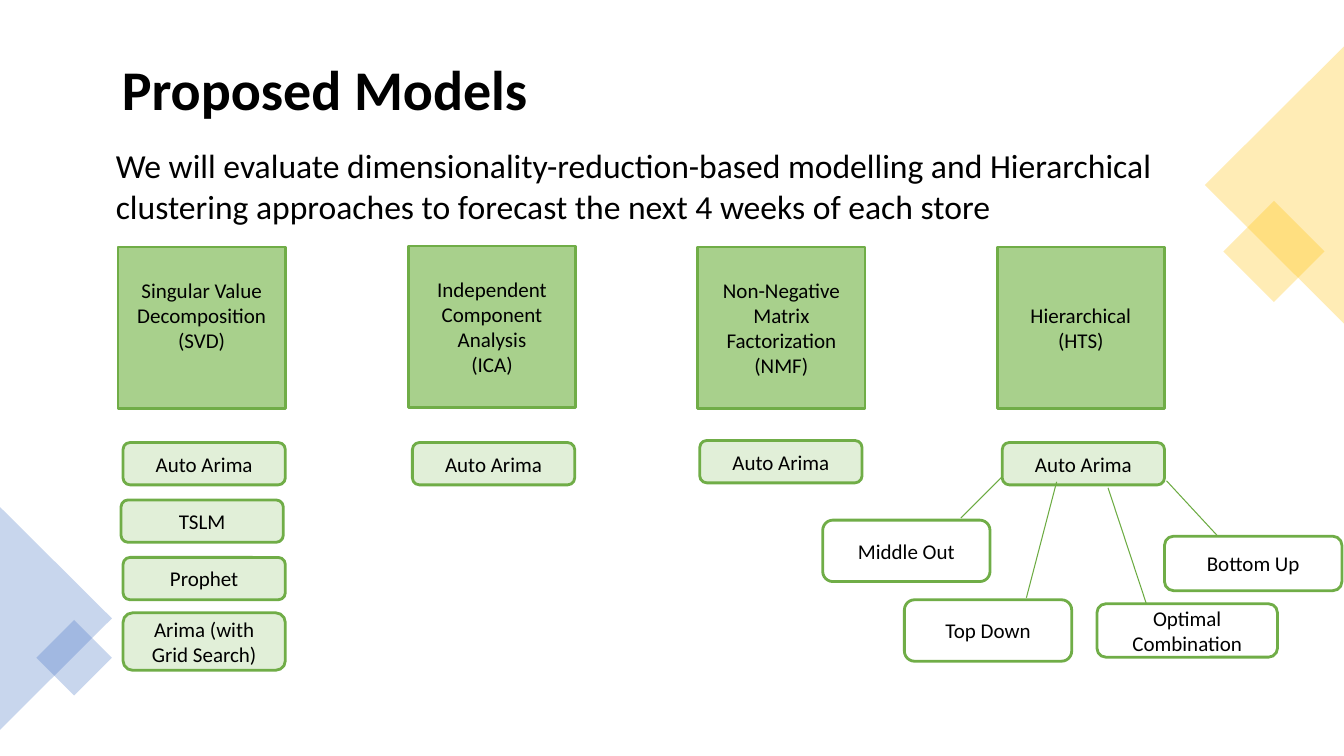
import dataclasses

import lxml.etree
import pptx
import pptx.dml.color
import pptx.enum.shapes
import pptx.enum.text
import pptx.oxml.ns
import pptx.util

Inches = pptx.util.Inches
SHAPE = pptx.enum.shapes.MSO_SHAPE
ALIGN = pptx.enum.text.PP_ALIGN
ANCHOR = pptx.enum.text.MSO_ANCHOR


@dataclasses.dataclass(frozen=True)
class Theme:
    """Colours, font and type sizes of the slide."""
    font: str = "Calibri"
    ink: str = "000000"
    card: str = "A8D08C"
    method: str = "E1EFD8"
    variant: str = "FFFFFF"
    outline: str = "70AD47"
    branch: str = "6CAB42"
    gold: str = "FFC000"
    blue: str = "4472C4"
    title_size: int = 40
    intro_size: int = 24
    label_size: int = 15
    outline_width: float = 2
    branch_width: float = 0.75
    decor_opacity: int = 29


THEME = Theme()


def rgb(code):
    """Turn a hex code into a colour."""
    return pptx.dml.color.RGBColor.from_string(code)


def write_text(frame, text, size=THEME.label_size, bold=False, align=ALIGN.CENTER,
               anchor=ANCHOR.MIDDLE, spacing=None, bottom=0.05):
    """Write one paragraph per line of text into a frame."""
    frame.word_wrap = True
    frame.vertical_anchor = anchor
    frame.margin_left = frame.margin_right = Inches(0.1)
    frame.margin_top, frame.margin_bottom = Inches(0.05), Inches(bottom)
    frame.text = text
    for paragraph in frame.paragraphs:
        paragraph.alignment = align
        paragraph.line_spacing = spacing
        font = paragraph.runs[0].font
        font.name, font.size, font.bold = THEME.font, pptx.util.Pt(size), bold
        font.color.rgb = rgb(THEME.ink)


def add_block(slide, kind, box, fill):
    """Add a filled shape without outline or shadow."""
    block = slide.shapes.add_shape(kind, *map(Inches, box))
    block.shadow.inherit = False
    block.fill.solid()
    block.fill.fore_color.rgb = rgb(fill)
    block.line.fill.background()
    return block


def add_label(slide, kind, box, fill, text, **text_format):
    """Add an outlined shape with a centred label."""
    label = add_block(slide, kind, box, fill)
    label.line.color.rgb = rgb(THEME.outline)
    label.line.width = pptx.util.Pt(THEME.outline_width)
    write_text(label.text_frame, text, **text_format)


def add_branch(slide, start, end):
    """Draw a thin line between two points."""
    branch = slide.shapes.add_connector(
        pptx.enum.shapes.MSO_CONNECTOR.STRAIGHT, *map(Inches, (*start, *end)))
    branch.line.color.rgb = rgb(THEME.branch)
    branch.line.width = pptx.util.Pt(THEME.branch_width)
    lxml.etree.SubElement(branch._element.spPr, pptx.oxml.ns.qn("a:effectLst"))


def add_decor(slide, box, color, turn, diamond_offset, diamond_side):
    """Place a translucent edge triangle and its small diamond."""
    left, top, width, height = box
    dx, dy = diamond_offset
    diamond = (left + dx, top + dy, diamond_side, diamond_side)
    for kind, place, rotation in ((SHAPE.ISOSCELES_TRIANGLE, box, turn),
                                  (SHAPE.RECTANGLE, diamond, 45)):
        piece = add_block(slide, kind, place, color)
        piece.rotation = rotation
        solid = piece._element.spPr.find(pptx.oxml.ns.qn("a:solidFill"))
        lxml.etree.SubElement(solid[0], pptx.oxml.ns.qn("a:alpha"),
                              val=str(THEME.decor_opacity * 1000))


def add_heading(slide, box):
    """Place the title and the introduction under it."""
    left, top, width, height = box
    title = slide.shapes.add_textbox(
        *map(Inches, (left + 0.06, top, width, 1.24)))
    write_text(title.text_frame, "Proposed Models", size=THEME.title_size, bold=True,
               align=ALIGN.LEFT, spacing=0.9)
    intro = slide.shapes.add_textbox(
        *map(Inches, (left, top + 1.09, 10.9, height - 1.09)))
    write_text(intro.text_frame,
               "We will evaluate dimensionality-reduction-based modelling and Hierarchical "
               "clustering approaches to forecast the next 4 weeks of each store",
               size=THEME.intro_size, align=ALIGN.LEFT, anchor=ANCHOR.TOP)


def add_model(slide, box, name, methods, bottom=0.05):
    """Place a model card and the methods listed below it."""
    left, top, width, height = box
    add_label(slide, SHAPE.RECTANGLE, box, THEME.card, name, bottom=bottom)
    for method, dx, dy, method_height in methods:
        add_label(slide, SHAPE.ROUNDED_RECTANGLE,
                  (left + dx, top + dy, 1.61, method_height), THEME.method, method)


def add_variants(slide, box):
    """Place the hierarchical variants and the branches leading to them."""
    left, top, width, height = box
    variants = (
        ("Middle Out", (0, 0, 1.66, 0.61), (1.78, -0.43), (1.37, -0.02)),
        ("Top Down", (0.81, 0.79, 1.66, 0.61), (2.32, -0.38), (2.02, 0.77)),
        ("Optimal Combination", (2.72, 0.83, 1.79, 0.53), (2.83, -0.32), (3.21, 0.83)),
        ("Bottom Up", (3.39, 0.16, 1.76, 0.54), (3.41, -0.39), (3.91, 0.15)),
    )
    for name, (dx, dy, label_width, label_height), start, end in variants:
        add_label(slide, SHAPE.ROUNDED_RECTANGLE,
                  (left + dx, top + dy, label_width, label_height), THEME.variant, name)
        add_branch(slide, *((left + x, top + y) for x, y in (start, end)))


def build_slide(slide):
    """Compose the proposed models slide."""
    add_decor(slide, (11.26, 1.14, 2.77, 1.39), THEME.gold, 270, (1.02, 1), 0.71)
    add_decor(slide, (-0.55, 5.58, 2.21, 1.11), THEME.blue, 90, (1.02, 0.68), 0.53)
    add_heading(slide, (1.05, 0.3, 11.93, 2))
    svd_methods = (("Auto Arima", 0.05, 1.94, 0.42), ("TSLM", 0.03, 2.51, 0.42),
                   ("Prophet", 0.05, 3.08, 0.42),
                   ("Arima (with Grid Search)", 0.05, 3.63, 0.57))
    add_model(slide, (1.17, 2.45, 1.66, 1.6), "Singular Value Decomposition\n(SVD)",
              svd_methods, bottom=0.3)
    for left, top, name, dx, dy in (
            (4.05, 2.44, "Independent Component Analysis\n(ICA)", 0.04, 1.95),
            (6.92, 2.45, "Non-Negative Matrix Factorization\n(NMF)", 0.02, 1.92),
            (9.89, 2.45, "Hierarchical\n(HTS)", 0.05, 1.94)):
        add_model(slide, (left, top, 1.66, 1.6), name, (("Auto Arima", dx, dy, 0.42),))
    add_variants(slide, (8.16, 5.16, 5.15, 1.4))


def main():
    """Create and save the presentation."""
    deck = pptx.Presentation()
    deck.slide_width, deck.slide_height = Inches(13.33), Inches(7.5)
    build_slide(deck.slides.add_slide(deck.slide_layouts[6]))
    deck.save("out.pptx")


if __name__ == "__main__":
    main()
